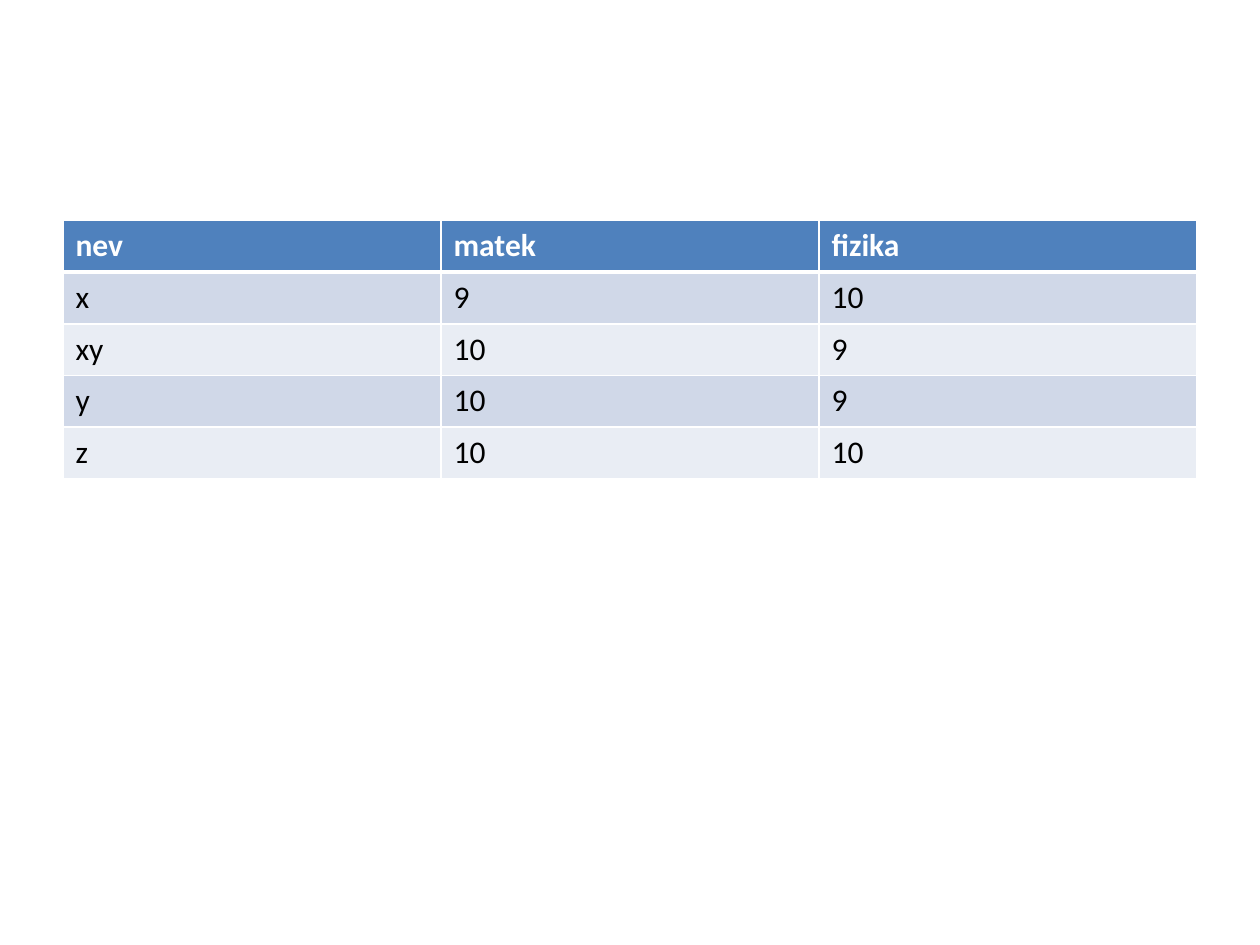
from lxml import etree
from pptx import Presentation
from pptx.dml.color import RGBColor
from pptx.oxml.ns import qn
from pptx.util import Inches, Pt

FONT = "Calibri"
WHITE = RGBColor(0xFF, 0xFF, 0xFF)
BLACK = RGBColor(0x00, 0x00, 0x00)
HEADER_BLUE = RGBColor(0x4F, 0x81, 0xBD)
BANDS = (RGBColor(0xD0, 0xD8, 0xE8), RGBColor(0xE9, 0xED, 0xF4))

GRADES = [
    ("nev", "matek", "fizika"),
    ("x", "9", "10"),
    ("xy", "10", "9"),
    ("y", "10", "9"),
    ("z", "10", "10"),
]
COLUMN_WIDTH = Inches(3)
ROW_HEIGHT = Inches(0.41)


def set_border(cell, side, width):
    """Draw a white line on one side (L, R, T or B) of a cell."""
    line = etree.SubElement(
        cell._tc.get_or_add_tcPr(), qn(f"a:ln{side}"), w=str(Pt(width)))
    fill = etree.SubElement(line, qn("a:solidFill"))
    etree.SubElement(fill, qn("a:srgbClr"), val=str(WHITE))


def style_cell(cell, text, row):
    is_header = row == 0
    # Borders come before the fill in the cell properties
    set_border(cell, "L", 1)
    set_border(cell, "R", 1)
    set_border(cell, "T", 3 if row == 1 else 1)
    set_border(cell, "B", 3 if is_header else 1)
    cell.fill.solid()
    cell.fill.fore_color.rgb = HEADER_BLUE if is_header else BANDS[(row - 1) % 2]

    cell.text = text
    font = cell.text_frame.paragraphs[0].font
    font.name = FONT
    font.size = Pt(18)
    font.bold = is_header
    font.color.rgb = WHITE if is_header else BLACK


def add_grades_table(slide):
    row_count, column_count = len(GRADES), len(GRADES[0])
    table = slide.shapes.add_table(
        row_count, column_count, Inches(0.5), Inches(1.75),
        COLUMN_WIDTH * column_count, ROW_HEIGHT * row_count).table
    for column in table.columns:
        column.width = COLUMN_WIDTH
    for row, values in enumerate(GRADES):
        table.rows[row].height = ROW_HEIGHT
        for column, text in enumerate(values):
            style_cell(table.cell(row, column), text, row)


def main():
    presentation = Presentation()
    presentation.slide_width = Inches(10)
    presentation.slide_height = Inches(7.5)
    # Blank layout
    slide = presentation.slides.add_slide(presentation.slide_layouts[6])
    add_grades_table(slide)
    presentation.save("out.pptx")


if __name__ == "__main__":
    main()
